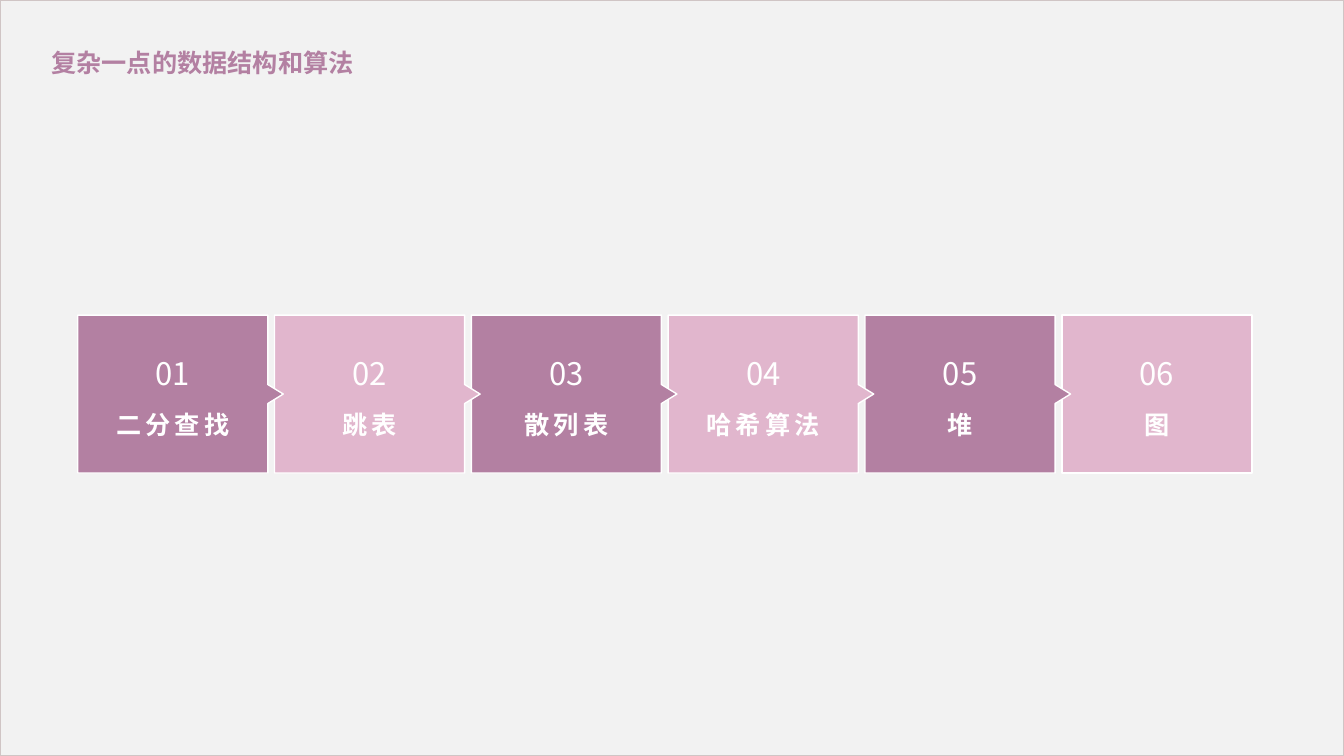
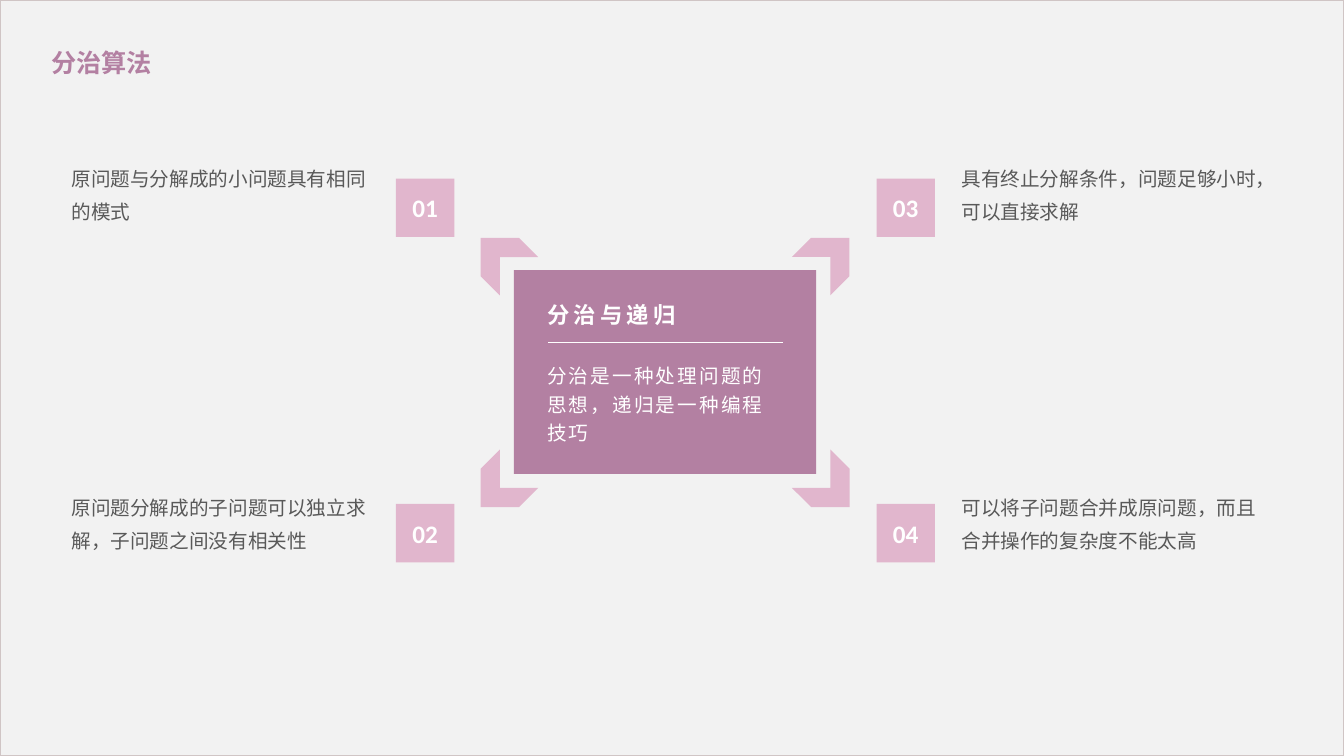
from lxml import etree
from pptx import Presentation
from pptx import util as u
from pptx.dml.color import RGBColor
from pptx.enum import shapes, text
from pptx.oxml.ns import qn

Cm, Pt = u.Cm, u.Pt
SHAPE, ALIGN, ANCHOR = shapes.MSO_SHAPE, text.PP_ALIGN, text.MSO_ANCHOR

PAPER = RGBColor(0xF2, 0xF2, 0xF2)
FRAME = RGBColor(0xD0, 0xC5, 0xC5)
MAUVE = RGBColor(0xB3, 0x80, 0xA2)
PINK = RGBColor(0xE1, 0xB6, 0xCD)
WHITE = RGBColor(0xFF, 0xFF, 0xFF)
GREY = RGBColor(0x59, 0x59, 0x59)

HEADING, BODY, STEP = "Calibri", "Arial", "Noto Sans CJK SC"
WIDTH, HEIGHT = 33.87, 19.05


class Deck:
    """Holds the shared style and the slide being filled; lengths are in cm."""

    def __init__(self):
        self.deck = Presentation()
        self.deck.slide_width, self.deck.slide_height = Cm(WIDTH), Cm(HEIGHT)
        self.page = None

    def start_page(self, title):
        self.page = self.deck.slides.add_slide(self.deck.slide_layouts[5])
        paper = self.shape(SHAPE.RECTANGLE, 0, 0, WIDTH, HEIGHT, PAPER, FRAME)
        tree = self.page.shapes._spTree
        tree.remove(paper._element)
        tree.insert(2, paper._element)
        box = self.page.shapes.title
        box.left, box.top, box.width, box.height = Cm(1.04), Cm(1.07), Cm(8.56), Cm(1.02)
        self.set_text(box, title, 18, HEADING, MAUVE, bold=True)

    def set_text(self, box, content, size, font, color, bold=False, align=ALIGN.LEFT,
                 anchor=ANCHOR.TOP, leading=1.0, tracking=0):
        """Fill a box with one paragraph; tracking is letter spacing in points."""
        frame = box.text_frame
        frame.text = content
        frame.word_wrap = True
        frame.auto_size = text.MSO_AUTO_SIZE.NONE
        frame.vertical_anchor = anchor
        para = frame.paragraphs[0]
        para.alignment, para.line_spacing = align, leading
        span = para.runs[0]
        span.font.size, span.font.bold, span.font.name = Pt(size), bold, font
        span.font.color.rgb = color
        properties = span._r.get_or_add_rPr()
        etree.SubElement(properties, qn("a:ea")).set("typeface", font)
        if tracking:
            properties.set("spc", str(int(tracking * 100)))

    def text(self, content, left, top, width, height, *style, **options):
        box = self.page.shapes.add_textbox(Cm(left), Cm(top), Cm(width), Cm(height))
        self.set_text(box, content, *style, **options)

    def paint(self, shape, fill, line=None):
        shape.shadow.inherit = False
        shape.fill.solid()
        shape.fill.fore_color.rgb = fill
        if line is None:
            shape.line.fill.background()
        else:
            shape.line.color.rgb = line
            shape.line.width = Pt(1)
        return shape

    def shape(self, kind, left, top, width, height, fill, line=None):
        shape = self.page.shapes.add_shape(kind, Cm(left), Cm(top), Cm(width), Cm(height))
        return self.paint(shape, fill, line)

    def outline(self, points, fill, line):
        corners = [(Cm(x), Cm(y)) for x, y in points]
        builder = self.page.shapes.build_freeform(*corners[0])
        builder.add_line_segments(corners[1:], close=True)
        return self.paint(builder.convert_to_shape(), fill, line)

    def rule(self, left, right, y):
        line = self.page.shapes.add_connector(
            shapes.MSO_CONNECTOR.STRAIGHT, Cm(left), Cm(y), Cm(right), Cm(y))
        line.line.color.rgb = WHITE
        line.line.width = Pt(0.5)
        etree.SubElement(line._element.spPr, qn("a:effectLst"))

    def save(self):
        self.deck.save("out.pptx")


def add_steps_page(deck):
    deck.start_page("复杂一点的数据结构和算法")
    steps = ["二分查找", "跳表", "散列表", "哈希算法", "堆", "图"]
    first, pitch, width = 1.96, 4.96, 4.79
    top, bottom, middle = 7.94, 11.92, 9.93
    tip, half = 0.39, 0.24
    # Right to left, so that each tip lies over the next block.
    for index in reversed(range(len(steps))):
        left = first + index * pitch
        right = left + width
        points = [(left, top), (right, top), (right, bottom), (left, bottom)]
        if index < len(steps) - 1:
            points[2:2] = [(right, middle - half), (right + tip, middle), (right, middle + half)]
        deck.outline(points, PINK if index % 2 else MAUVE, WHITE)
    for index, name in enumerate(steps):
        left = first + index * pitch
        deck.text(f"{index + 1:02d}", left, 8.71, width, 1.27, 22.2, STEP, WHITE,
                  align=ALIGN.CENTER, leading=1.1)
        deck.text(name, left, 9.98, width, 1.27, 18, STEP, WHITE, bold=True,
                  align=ALIGN.CENTER, anchor=ANCHOR.MIDDLE, leading=1.2, tracking=3)


def add_divide_page(deck):
    deck.start_page("分治算法")
    conditions = [
        "原问题与分解成的小问题具有相同的模式",
        "原问题分解成的子问题可以独立求解，子问题之间没有相关性",
        "具有终止分解条件，问题足够小时，可以直接求解",
        "可以将子问题合并成原问题，而且合并操作的复杂度不能太高",
    ]
    columns = [(1.55, 9.98, 11.91), (23.98, 22.09, 20.24)]
    rows = [(3.84, 4.5, 5.79), (12.14, 12.7, 11.61)]
    angles = [225, 135, 315, 45]
    for index, (condition, angle) in enumerate(zip(conditions, angles)):
        column, row = divmod(index, 2)
        text_left, badge_left, arrow_left = columns[column]
        text_top, badge_top, arrow_top = rows[row]
        arrow = deck.shape(SHAPE.CHEVRON, arrow_left, arrow_top, 1.37, 1.37, PINK)
        arrow.rotation = angle
        badge = deck.shape(SHAPE.RECTANGLE, badge_left, badge_top, 1.47, 1.47, PINK)
        deck.set_text(badge, f"{index + 1:02d}", 18, HEADING, WHITE, bold=True,
                      align=ALIGN.CENTER, anchor=ANCHOR.MIDDLE)
        deck.text(condition, text_left, text_top, 8, 2.84, 14, BODY, GREY, leading=1.4)

    deck.shape(SHAPE.RECTANGLE, 12.95, 6.81, 7.62, 5.13, MAUVE)
    deck.text("分治与递归", 13.54, 7.32, 6.45, 1.17, 16, BODY, WHITE, bold=True,
              leading=1.2, tracking=3)
    deck.rule(13.81, 19.73, 8.63)
    deck.text("分治是一种处理问题的思想，递归是一种编程技巧", 13.54, 8.94, 6.45, 2.54,
              14, BODY, WHITE, leading=1.2, tracking=1.5)


def main():
    deck = Deck()
    add_steps_page(deck)
    add_divide_page(deck)
    deck.save()


if __name__ == "__main__":
    main()
